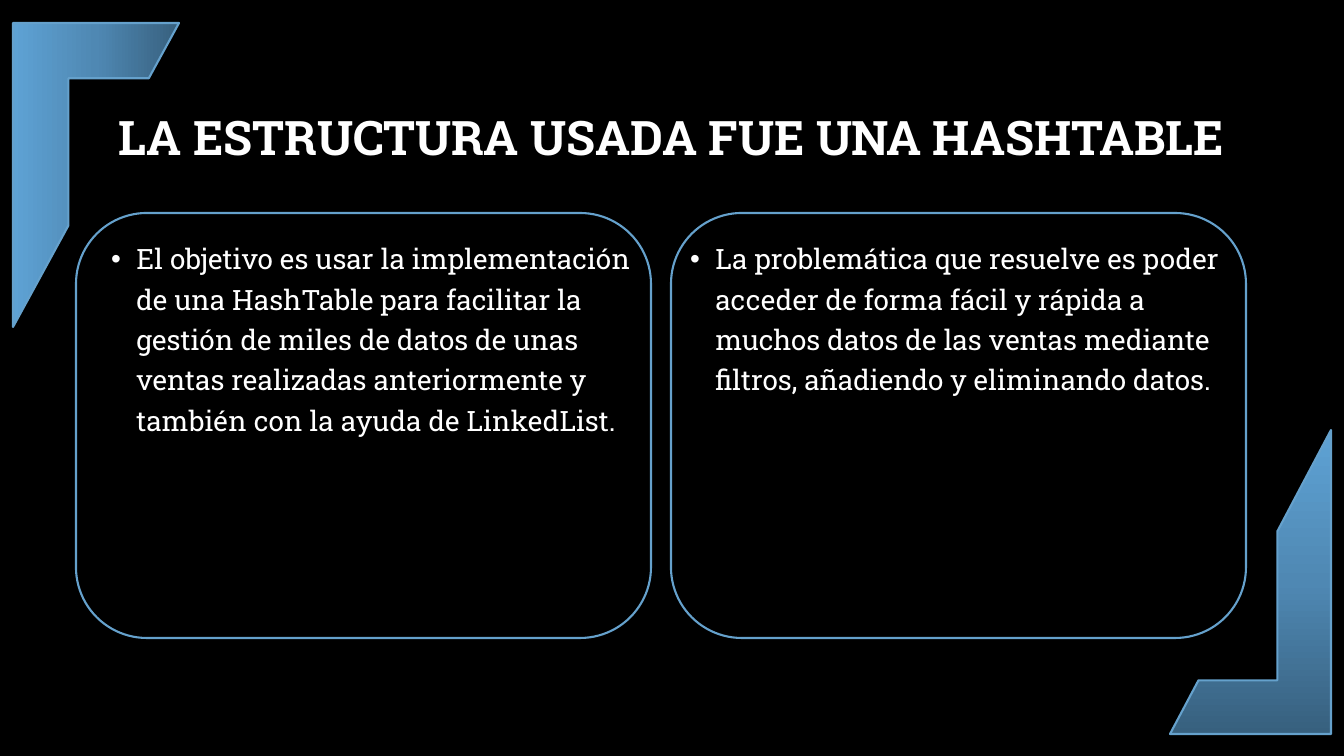
from lxml import etree
from pptx import Presentation
from pptx import util as u
from pptx.dml.color import RGBColor
from pptx.enum import shapes, text
from pptx.oxml import ns, parse_xml

TITLE = "LA ESTRUCTURA USADA FUE UNA HASHTABLE"
POINTS = [
    "El objetivo es usar la implementación de una HashTable para facilitar la "
    "gestión de miles de datos de unas ventas realizadas anteriormente y "
    "también con la ayuda de LinkedList.",
    "La problemática que resuelve es poder acceder de forma fácil y rápida a "
    "muchos datos de las ventas mediante filtros, añadiendo y eliminando datos.",
]

FONT = "Roboto Slab"
COLORS = {"background": "000000", "text": "FFFFFF", "outline": "65A1CC"}
GRADIENT = {0: "37607E", 50: "4F88B3", 100: "5EA2D4"}  # percent: colour

# Boxes are left, top, width, height in px
SLIDE_SIZE = (1344, 756)
TITLE_BOX = (101, 67, 1141, 146)
PANEL_BOX, PANEL_STEP = (76, 213, 575, 425), 595
BODY_BOX, BODY_STEP = (101, 230, 562, 408), 579
CORNERS = [  # box, rotation, gradient angle
    ((13, 23, 166, 304), 0, 180),
    ((1170, 430, 161, 304), 180, 90),
]
EMU_PER_PX = 914400 / 100.8
BULLET_INDENT = u.Inches(0.25)


def px(*lengths):
    return [u.Emu(round(length * EMU_PER_PX)) for length in lengths]


def shifted(box, distance):
    return (box[0] + distance, *box[1:])


def fill_text(placeholder, box, content, size, bold=False, align=text.PP_ALIGN.LEFT,
              anchor=text.MSO_ANCHOR.TOP, line_spacing=1.0, space_before=0, bullet=None):
    """Move a placeholder to its box and write one formatted paragraph."""
    placeholder.left, placeholder.top, placeholder.width, placeholder.height = px(*box)
    frame = placeholder.text_frame
    frame.word_wrap = True
    frame.auto_size = text.MSO_AUTO_SIZE.NONE
    frame.vertical_anchor = anchor
    paragraph = frame.paragraphs[0]
    paragraph.alignment = align
    paragraph.line_spacing = line_spacing
    paragraph.space_before = u.Pt(space_before)
    run = paragraph.add_run()
    run.text = content
    run.font.name, run.font.size, run.font.bold = FONT, u.Pt(size), bold
    run.font.color.rgb = RGBColor.from_string(COLORS["text"])
    if bullet:
        properties = paragraph._p.get_or_add_pPr()
        properties.set("marL", str(BULLET_INDENT))
        properties.set("indent", str(-BULLET_INDENT))
        etree.SubElement(properties, ns.qn("a:buChar"), char=bullet)


def add_outlined(slide, kind, box):
    shape = slide.shapes.add_shape(kind, *px(*box))
    shape.shadow.inherit = False
    shape.fill.background()
    shape.line.color.rgb = RGBColor.from_string(COLORS["outline"])
    shape.line.width = u.Pt(1.5)
    return shape


def set_gradient(shape, angle):
    stops = "".join(
        f'<a:gs pos="{percent * 1000}"><a:srgbClr val="{color}"/></a:gs>'
        for percent, color in GRADIENT.items()
    )
    gradient = parse_xml(
        f'<a:gradFill {ns.nsdecls("a")} rotWithShape="1"><a:gsLst>{stops}</a:gsLst>'
        f'<a:lin ang="{angle * 60000}" scaled="0"/></a:gradFill>'
    )
    properties = shape._element.spPr
    properties.replace(properties.find(ns.qn("a:noFill")), gradient)


def main():
    presentation = Presentation()
    presentation.slide_width, presentation.slide_height = px(*SLIDE_SIZE)
    slide = presentation.slides.add_slide(presentation.slide_layouts.get_by_name("Two Content"))
    slide.background.fill.solid()
    slide.background.fill.fore_color.rgb = RGBColor.from_string(COLORS["background"])

    title, *bodies = slide.placeholders
    fill_text(title, TITLE_BOX, TITLE, 34, bold=True, align=text.PP_ALIGN.CENTER,
              anchor=text.MSO_ANCHOR.MIDDLE, line_spacing=0.9)
    for column, (body, point) in enumerate(zip(bodies, POINTS)):
        fill_text(body, shifted(BODY_BOX, column * BODY_STEP), point, 20,
                  line_spacing=1.2, space_before=10, bullet="•")
        add_outlined(slide, shapes.MSO_SHAPE.ROUNDED_RECTANGLE,
                     shifted(PANEL_BOX, column * PANEL_STEP))

    for box, rotation, angle in CORNERS:
        corner = add_outlined(slide, shapes.MSO_SHAPE.HALF_FRAME, box)
        corner.rotation = rotation
        set_gradient(corner, angle)

    presentation.save("out.pptx")


if __name__ == "__main__":
    main()
